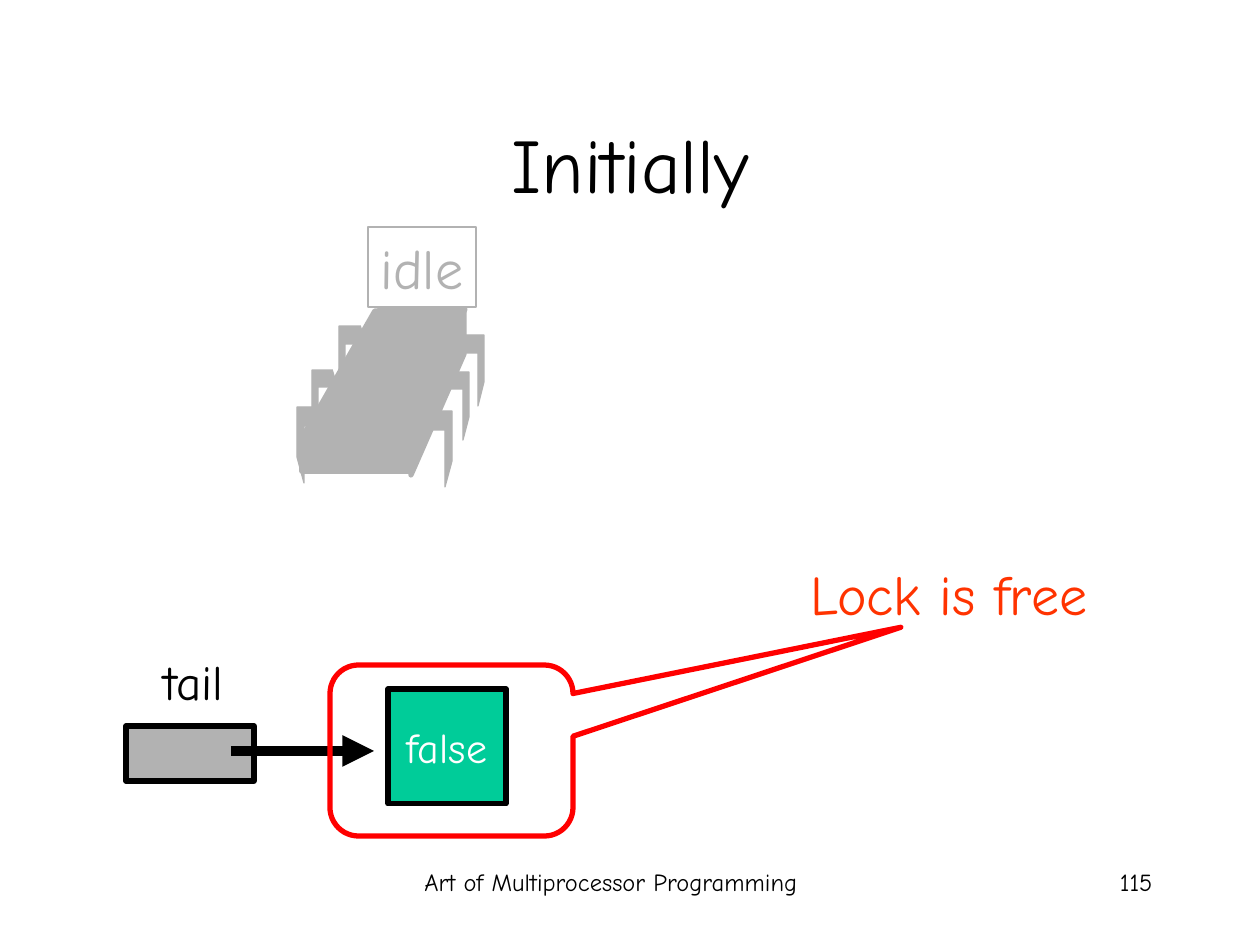
from lxml import etree
from pptx import Presentation
from pptx.dml.color import RGBColor
from pptx.enum.shapes import MSO_CONNECTOR, MSO_SHAPE
from pptx.enum.text import MSO_ANCHOR, MSO_AUTO_SIZE, PP_ALIGN
from pptx.oxml.ns import qn
from pptx.util import Emu, Pt

RECT = MSO_SHAPE.RECTANGLE
CALLOUT = MSO_SHAPE.ROUNDED_RECTANGULAR_CALLOUT
STRAIGHT = MSO_CONNECTOR.STRAIGHT
TOP, MIDDLE = MSO_ANCHOR.TOP, MSO_ANCHOR.MIDDLE
CENTER, RIGHT = PP_ALIGN.CENTER, PP_ALIGN.RIGHT
GROW = MSO_AUTO_SIZE.SHAPE_TO_FIT_TEXT

SCALE = 914400 / 126  # EMU in one px
WIDTH, HEIGHT = 1260, 945

THEME = {
    "font": "Comic Neue",
    "ink": "000000", "paper": "FFFFFF", "gray": "B2B2B2",
    "green": "00CC99", "red": "FF0000", "orange": "FF3300",
    "title": 44, "large": 32, "label": 28, "value": 24, "foot": 14,
    "thin": 0.75, "thick": 3, "arrow": 6,
}

# Content: text, box, size, colour, alignment, anchor, wrap
TEXTS = [
    ("Art of Multiprocessor Programming", (364, 861, 494, 63),
     "foot", "ink", CENTER, TOP, True),
    ("115", (903, 861, 262, 63), "foot", "ink", RIGHT, TOP, True),
    ("Initially", (95, 84, 1071, 158), "title", "ink", CENTER, MIDDLE, True),
    ("tail", (150, 645, 86, 72), "label", "ink", RIGHT, TOP, False),
    ("Lock is free", (795, 553, 305, 81),
     "large", "orange", RIGHT, TOP, False),
]
NODE = ("false", (388, 689, 118, 115))
STATE = ("idle", (368, 227, 108, 80))
TAIL = (126, 726, 128, 55)
ARROW = (231, 751, 374, 751)
BUBBLE = (330, 665, 243, 171)
POINTER = (1.849, -0.721, 0.167)

# Desk: each leg has an outer x and a top, front to back
SEAT = (302, 436, 107, 35)
DESKTOP = [(302, 438), (409, 435), (465, 309), (375, 311)]
SIDE = [(464, 309), (464, 354), (411, 475), (409, 440)]
SIZES = [(30, 76), (26, 68), (28, 71)]
LEFT_LEGS = [(297, 407), (312, 370), (339, 326)]
RIGHT_LEGS = [(452, 411), (469, 372), (484, 335)]
LEG = [(0.8, 0), (0, 0), (0, 0.66), (0.22, 1), (0.22, 0.25), (1, 0.25)]


def px(*nums):
    return [Emu(round(n * SCALE)) for n in nums]


def color(name):
    return RGBColor.from_string(THEME[name])


def paint(shape, fill, line, width):
    shape.shadow.inherit = False
    if fill:
        shape.fill.solid()
        shape.fill.fore_color.rgb = color(fill)
    else:
        shape.fill.background()
    shape.line.color.rgb = color(line)
    shape.line.width = Pt(THEME[width])


def write(shape, text, size, ink, align, anchor, wrap):
    frame = shape.text_frame
    frame.text = text
    frame.word_wrap = wrap
    frame.vertical_anchor = anchor
    para = frame.paragraphs[0]
    para.alignment = align
    font = para.runs[0].font
    font.name = THEME["font"]
    font.size = Pt(THEME[size])
    font.color.rgb = color(ink)


def add_box(shapes, kind, box, fill, line, width):
    shape = shapes.add_shape(kind, *px(*box))
    paint(shape, fill, line, width)
    return shape


def add_path(shapes, points, width, close):
    pen = shapes.build_freeform(*points[0], scale=SCALE)
    pen.add_line_segments(points[1:], close=close)
    paint(pen.convert_to_shape(), "gray", "gray", width)


def add_legs(shapes, legs, side):
    for (x, y), (w, h) in zip(legs, SIZES):
        points = [(round(x + side * u * w), round(y + v * h)) for u, v in LEG]
        add_path(shapes, points, "thin", False)


def add_desk(slide):
    desk = slide.shapes.add_group_shape().shapes
    add_box(desk, RECT, SEAT, "gray", "gray", "thick")
    add_legs(desk, LEFT_LEGS, 1)
    for face in (DESKTOP, SIDE):
        add_path(desk, face, "thick", True)
    add_legs(desk, RIGHT_LEGS, -1)
    text, box = STATE
    state = add_box(desk, RECT, box, None, "gray", "thin")
    write(state, text, "large", "gray", CENTER, TOP, False)
    # The word needs the full width of its box
    state.text_frame.margin_left = state.text_frame.margin_right = 0


def add_arrow(slide):
    arrow = slide.shapes.add_connector(STRAIGHT, *px(*ARROW))
    arrow.line.color.rgb = color("ink")
    arrow.line.width = Pt(THEME["arrow"])
    props = arrow._element.spPr
    head = etree.SubElement(props.find(qn("a:ln")), qn("a:tailEnd"))
    head.set("type", "triangle")
    etree.SubElement(props, qn("a:effectLst"))


def main():
    deck = Presentation()
    deck.slide_width, deck.slide_height = px(WIDTH, HEIGHT)
    slide = deck.slides.add_slide(deck.slide_layouts[6])
    shapes = slide.shapes

    # Queue node and tail pointer
    text, box = NODE
    node = add_box(shapes, RECT, box, "green", "ink", "thick")
    write(node, text, "value", "paper", CENTER, MIDDLE, False)
    add_box(shapes, RECT, TAIL, "gray", "ink", "thick")
    add_arrow(slide)

    # Idle thread
    add_desk(slide)

    # Callout
    bubble = add_box(shapes, CALLOUT, BUBBLE, None, "red", "thick")
    for i, value in enumerate(POINTER):
        bubble.adjustments[i] = value

    # Title, labels and footer
    for text, box, *style in TEXTS:
        label = shapes.add_textbox(*px(*box))
        write(label, text, *style)
        if not label.text_frame.word_wrap:
            label.text_frame.auto_size = GROW

    deck.save("out.pptx")


if __name__ == "__main__":
    main()
